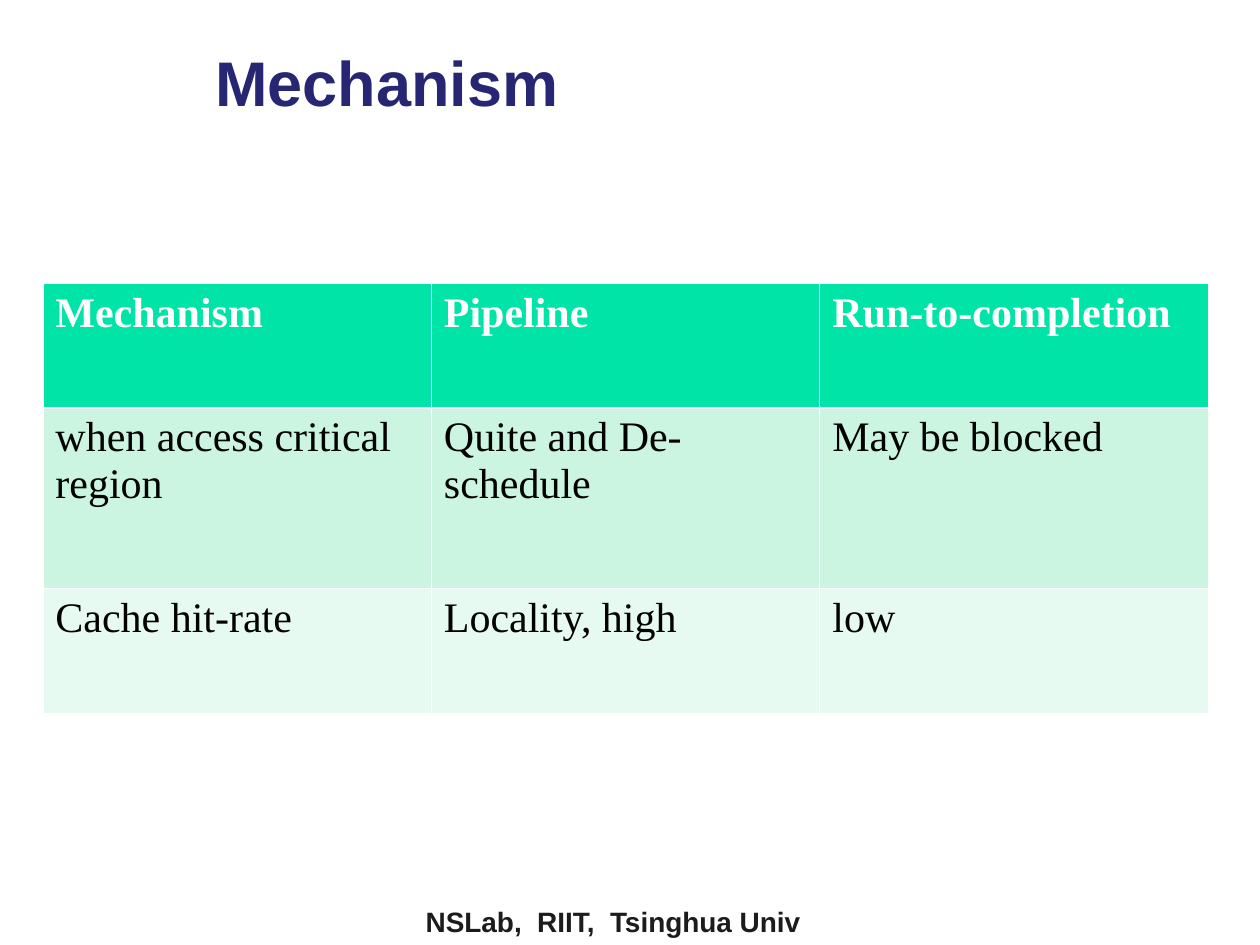
from dataclasses import dataclass
from lxml.etree import SubElement
from pptx import Presentation
from pptx.dml.color import RGBColor
from pptx.enum.text import MSO_ANCHOR
from pptx.oxml.ns import qn
from pptx.util import Inches, Pt

WHITE = RGBColor(0xFF, 0xFF, 0xFF)
BLACK = RGBColor(0, 0, 0)
NAVY = RGBColor(0x26, 0x26, 0x73)
DARK = RGBColor(0x1C, 0x1C, 0x1C)
GREEN = RGBColor(0x00, 0xE4, 0xA8)
MINT = RGBColor(0xCB, 0xF5, 0xE1)
PALE = RGBColor(0xE7, 0xFA, 0xF1)

WIDE, HIGH = Inches(10), Inches(7.5)
THIN, THICK = Pt(0.45), Pt(1.47)


@dataclass
class Label:
    text: str
    left: float
    top: float
    width: float
    height: float
    size: int
    color: RGBColor
    anchor: MSO_ANCHOR


@dataclass
class Row:
    cells: tuple[str, ...]
    height: float
    fill: RGBColor
    color: RGBColor
    bold: bool
    upper: int
    lower: int


LABELS = (
    Label("NSLab,  RIIT,  Tsinghua Univ", 0.328, 0.951, 0.352, 0.049,
          16, DARK, MSO_ANCHOR.TOP),
    Label("Mechanism", 0.161, 0.028, 0.795, 0.105,
          36, NAVY, MSO_ANCHOR.BOTTOM),
)
ROWS = (
    Row(("Mechanism", "Pipeline", "Run-to-completion"),
        0.132, GREEN, WHITE, True, THIN, THICK),
    Row(("when access critical region", "Quite and De-schedule", "May be blocked"),
        0.191, MINT, BLACK, False, THICK, THIN),
    Row(("Cache hit-rate", "Locality, high", "low"),
        0.132, PALE, BLACK, False, THIN, THIN),
)


def style(font, name: str, size: int, color: RGBColor, bold: bool) -> None:
    font.name, font.size, font.bold = name, Pt(size), bold
    font.color.rgb = color


def add_label(slide, item: Label) -> None:
    box = slide.shapes.add_textbox(
        int(item.left * WIDE), int(item.top * HIGH),
        int(item.width * WIDE), int(item.height * HIGH))
    frame = box.text_frame
    frame.word_wrap = True
    frame.vertical_anchor = item.anchor
    line = frame.paragraphs[0]
    line.text = item.text
    style(line.font, "Arial", item.size, item.color, True)


def add_edge(cell, side: str, width: int) -> None:
    props = cell._tc.get_or_add_tcPr()
    edge = SubElement(props, qn(f"a:{side}"), w=str(width))
    fill = SubElement(edge, qn("a:solidFill"))
    SubElement(fill, qn("a:srgbClr"), val=str(WHITE))


def fill_row(table, index: int, row: Row) -> None:
    table.rows[index].height = int(row.height * HIGH)
    for col, text in enumerate(row.cells):
        cell = table.cell(index, col)
        line = cell.text_frame.paragraphs[0]
        line.text = text
        style(line.font, "Times New Roman", 24, row.color, row.bold)
        for side, width in (("lnL", THIN), ("lnR", THIN),
                            ("lnT", row.upper), ("lnB", row.lower)):
            add_edge(cell, side, width)
        cell.fill.solid()
        cell.fill.fore_color.rgb = row.fill


def add_grid(slide, rows: tuple[Row, ...]) -> None:
    high = sum(row.height for row in rows)
    count = len(rows[0].cells)
    table = slide.shapes.add_table(
        len(rows), count, int(0.034 * WIDE), int(0.3 * HIGH),
        int(0.925 * WIDE), int(high * HIGH)).table
    for index, row in enumerate(rows):
        fill_row(table, index, row)


def main() -> None:
    deck = Presentation()
    deck.slide_width, deck.slide_height = WIDE, HIGH
    slide = deck.slides.add_slide(deck.slide_layouts[6])
    for item in LABELS:
        add_label(slide, item)
    add_grid(slide, ROWS)
    deck.save("out.pptx")


if __name__ == "__main__":
    main()
